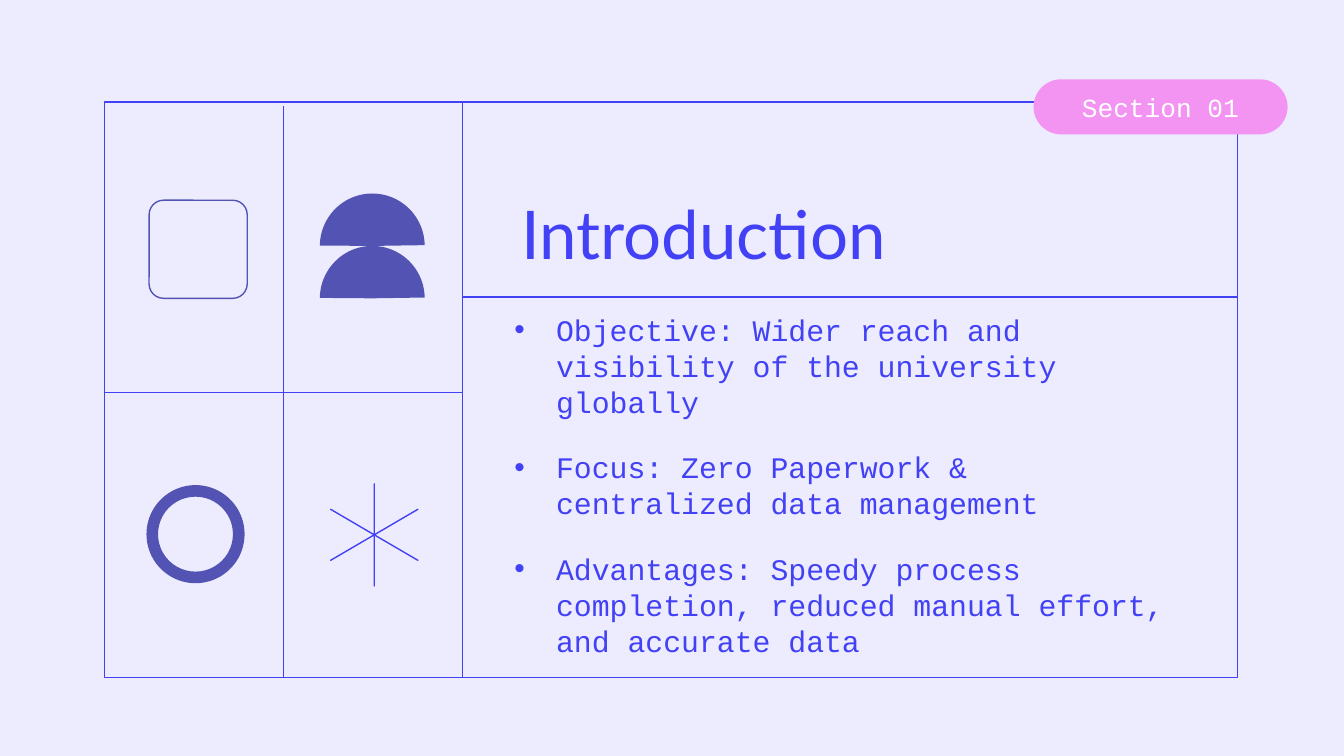
from lxml import etree
from pptx import Presentation
from pptx.dml.color import RGBColor
from pptx.enum.shapes import MSO_CONNECTOR, MSO_SHAPE
from pptx.enum.text import MSO_ANCHOR, PP_ALIGN
from pptx.oxml.ns import qn
from pptx.util import Inches, Pt

RECTANGLE = MSO_SHAPE.RECTANGLE
ROUNDED = MSO_SHAPE.ROUNDED_RECTANGLE
DONUT = MSO_SHAPE.DONUT
PIE = MSO_SHAPE.PIE
STAR = MSO_SHAPE.STAR_6_POINT
STRAIGHT = MSO_CONNECTOR.STRAIGHT
TOP, MIDDLE = MSO_ANCHOR.TOP, MSO_ANCHOR.MIDDLE
CENTER = PP_ALIGN.CENTER

BLUE, INDIGO, PINK = "4241F5", "5353B3", "F494F2"
WHITE, LAVENDER = "FFFFFF", "ECECFE"
MONO, SANS = "Courier New", "Lato"

LEFT, TOP_EDGE, CELL = 0.78, 0.76, 1.33
COLUMNS = [LEFT + CELL * index for index in range(3)]
RIGHT, BOTTOM = 9.21, 5.04
TITLE_RULE, ICON_RULE = 2.21, 2.92
ICON = 0.73
DOME = 0.78

POINTS = [
    "Objective: Wider reach and visibility of the university globally",
    "Focus: Zero Paperwork & centralized data management",
    "Advantages: Speedy process completion, reduced manual effort, and accurate data",
]


def color(code):
    return RGBColor.from_string(code)


def add_figure(page, kind, left, top, width, height, fill=None, line=None, adjust=()):
    figure = page.shapes.add_shape(
        kind, Inches(left), Inches(top), Inches(width), Inches(height)
    )
    figure.shadow.inherit = False
    if fill:
        figure.fill.solid()
        figure.fill.fore_color.rgb = color(fill)
    else:
        figure.fill.background()
    if line:
        figure.line.color.rgb = color(line)
        figure.line.width = Pt(0.75)
    else:
        figure.line.fill.background()
    for index, value in enumerate(adjust):
        figure.adjustments[index] = value
    return figure


def add_rule(page, start, end):
    rule = page.shapes.add_connector(STRAIGHT, *map(Inches, start + end))
    rule.line.color.rgb = color(BLUE)
    rule.line.width = Pt(0.75)
    etree.SubElement(rule._element.spPr, qn("a:effectLst"))


def write(box, texts, font, size, ink, anchor=MIDDLE, align=None):
    frame = box.text_frame
    frame.word_wrap = True
    frame.vertical_anchor = anchor
    frame.margin_left = frame.margin_right = Inches(0.1)
    frame.margin_top = frame.margin_bottom = Inches(0.1)
    frame.text = "\n".join(texts)
    for para in frame.paragraphs:
        para.alignment = align
        para.font.name = font
        para.font.size = Pt(size)
        para.font.color.rgb = color(ink)
    return frame.paragraphs


def add_text(page, left, top, width, height, texts, size, font, anchor=MIDDLE):
    box = page.shapes.add_textbox(
        Inches(left), Inches(top), Inches(width), Inches(height)
    )
    return write(box, texts, font, size, BLUE, anchor)


def add_bullet(para):
    para.space_after = Pt(16)
    properties = para._p.get_or_add_pPr()
    properties.set("marL", str(Inches(0.31)))
    properties.set("indent", str(-Inches(0.31)))
    bullet_font = etree.Element(qn("a:buFont"), typeface="Arial")
    bullet = etree.Element(qn("a:buChar"), char="•")
    position = properties.index(properties.find(qn("a:defRPr")))
    properties[position:position] = [bullet_font, bullet]


def add_frame(page):
    left, middle, divider = COLUMNS
    height = BOTTOM - TOP_EDGE
    add_figure(page, RECTANGLE, divider, TOP_EDGE, RIGHT - divider, height, line=BLUE)
    add_figure(page, RECTANGLE, left, TOP_EDGE, 2 * CELL, height, line=BLUE)
    add_rule(page, (divider, ICON_RULE), (left, ICON_RULE))
    add_rule(page, (middle, 0.79), (middle, BOTTOM))
    add_rule(page, (divider, TITLE_RULE), (RIGHT, TITLE_RULE))


def add_icons(page):
    add_figure(page, ROUNDED, 1.11, 1.49, ICON, ICON, line=INDIGO, adjust=[0.147])
    add_figure(page, DONUT, 1.09, 3.61, ICON, ICON, fill=INDIGO, adjust=[0.118])
    for top in (1.44 + DOME / 2, 1.44):
        add_figure(
            page, PIE, 2.38, top, DOME, DOME, fill=INDIGO, adjust=[108.27, 215.49]
        )
    add_figure(page, STAR, 2.46, 3.6, 0.65, 0.76, fill=PINK, line=BLUE, adjust=[0])


def main():
    deck = Presentation()
    deck.slide_width = Inches(10)
    deck.slide_height = deck.slide_width * 9 // 16
    page = deck.slides.add_slide(deck.slide_layouts[6])
    page.background.fill.solid()
    page.background.fill.fore_color.rgb = color(LAVENDER)

    add_frame(page)
    add_text(page, 3.78, 1.38, 5.1, 0.7, ["Introduction"], 36, SANS)
    for para in add_text(page, 3.73, 2.22, 5.1, 2.82, POINTS, 16, MONO, TOP):
        add_bullet(para)
    badge = add_figure(page, ROUNDED, 7.69, 0.59, 1.89, 0.41, fill=PINK, adjust=[0.5])
    write(badge, ["Section 01"], MONO, 14, WHITE, align=CENTER)
    add_icons(page)
    deck.save("out.pptx")


if __name__ == "__main__":
    main()
